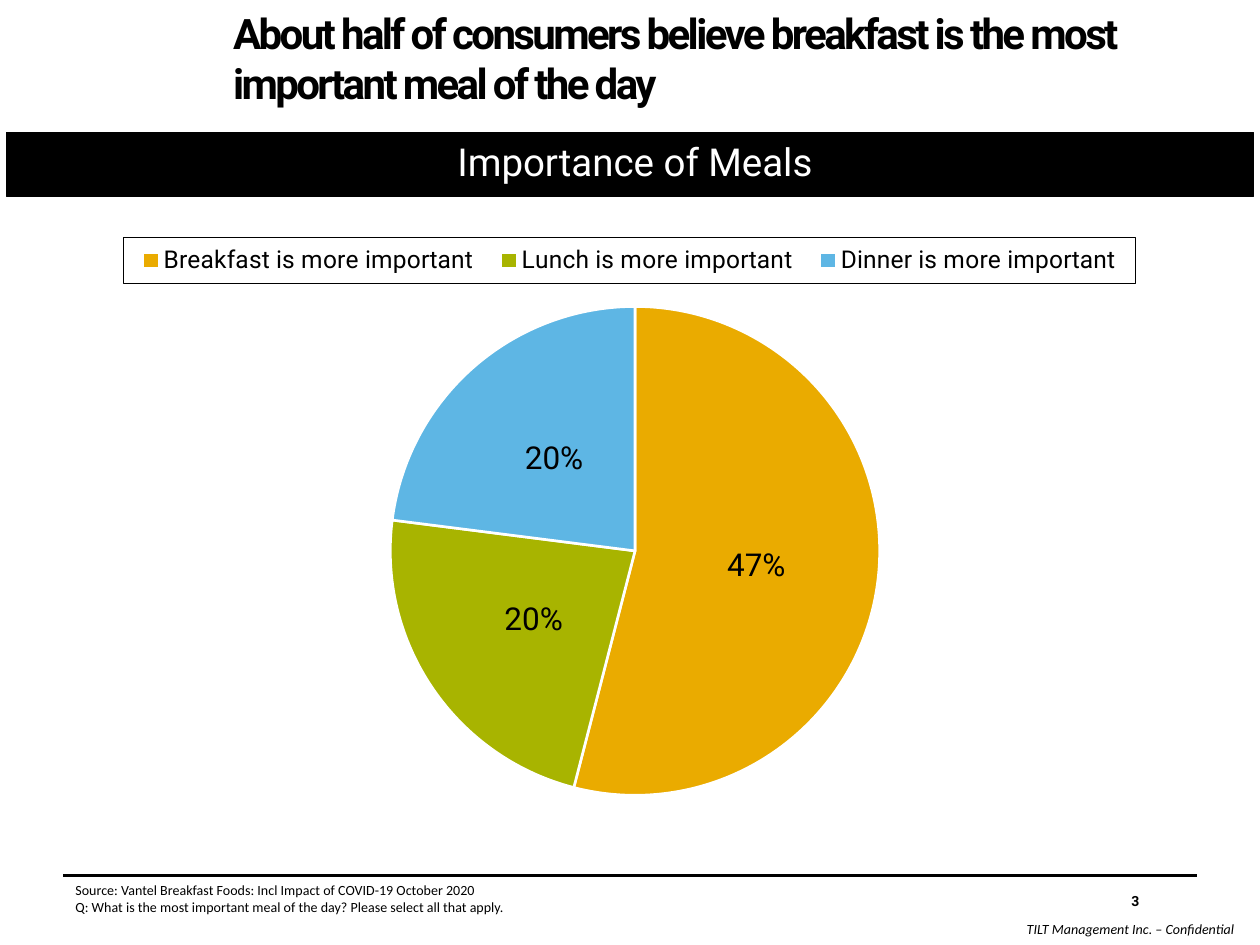
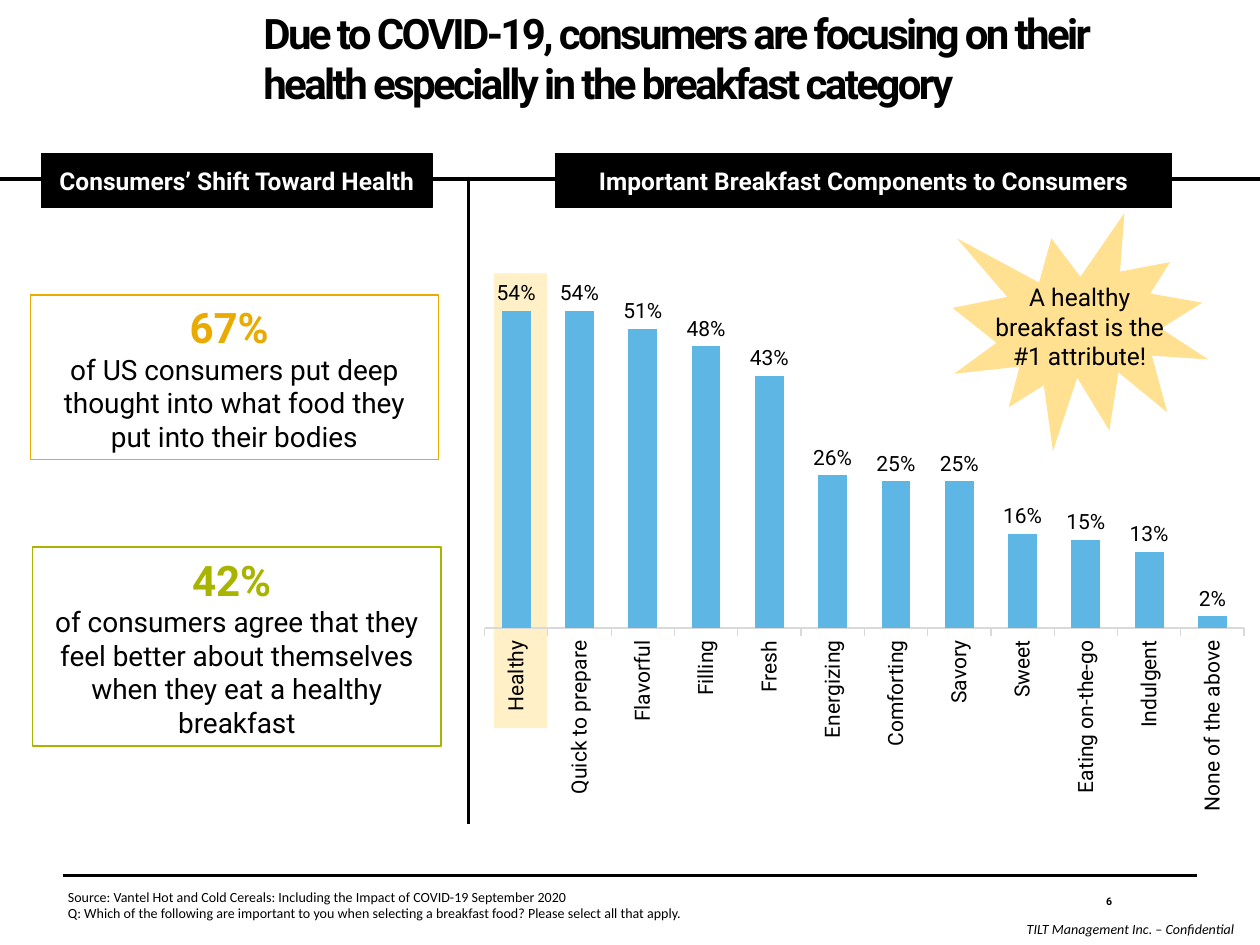
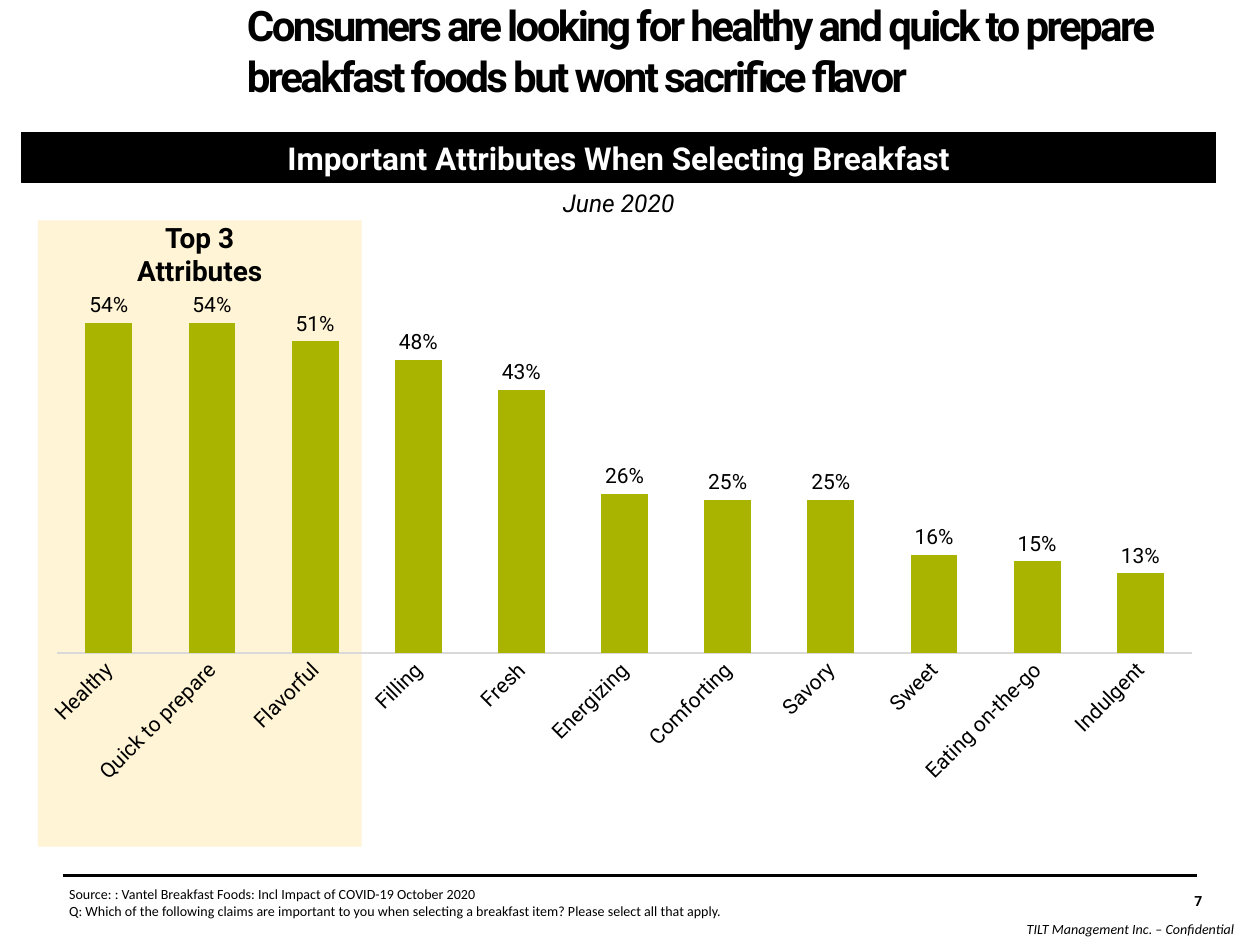
from dataclasses import dataclass
from lxml.etree import SubElement
from pptx import Presentation
from pptx.chart.data import CategoryChartData
from pptx.dml.color import RGBColor
from pptx.enum.chart import (XL_CHART_TYPE, XL_LABEL_POSITION,
                             XL_LEGEND_POSITION, XL_TICK_MARK)
from pptx.enum.shapes import MSO_CONNECTOR, MSO_SHAPE
from pptx.enum.text import MSO_ANCHOR, MSO_AUTO_SIZE, PP_ALIGN
from pptx.oxml import parse_xml
from pptx.oxml.ns import nsdecls, qn
from pptx.util import Inches, Pt


@dataclass(frozen=True)
class Theme:
    black: str = "000000"
    white: str = "FFFFFF"
    gold: str = "EAAB00"
    green: str = "A8B400"
    blue: str = "5EB6E4"
    gray: str = "D9D9D9"
    cream: str = "FFF0C8"
    pale: str = "FFF4D5"
    burst: str = "FFE191"
    head: str = "Roboto"
    note: str = "Calibri"
    title: int = 24
    band: int = 22
    sub: int = 18
    body: int = 16
    label: int = 14
    tick: int = 12
    small: int = 8
    tiny: int = 6


T = Theme()
FOODS = {"Healthy": 0.54, "Quick to prepare": 0.54, "Flavorful": 0.51,
         "Filling": 0.48, "Fresh": 0.43, "Energizing": 0.26,
         "Comforting": 0.25, "Savory": 0.25, "Sweet": 0.16,
         "Eating on-the-go": 0.15, "Indulgent": 0.13}
MEALS = {"Breakfast is more important": 0.47,
         "Lunch is more important": 0.2, "Dinner is more important": 0.2}


def rgb(code):
    return RGBColor.from_string(code)


def inch(box):
    return [Inches(n) for n in box]


def style(font, size, color=T.black, face=T.head, bold=False, slant=False):
    font.size, font.name = Pt(size), face
    font.bold, font.italic = bold, slant
    font.color.rgb = rgb(color)


# Text, shapes and lines

def write(shape, rows, align=PP_ALIGN.LEFT, anchor=MSO_ANCHOR.TOP,
          wrap=True, inset=True, track=None):
    """Fill a shape with rows of (text, size, style options)."""
    frame = shape.text_frame
    frame.word_wrap, frame.vertical_anchor = wrap, anchor
    if not wrap:
        frame.auto_size = MSO_AUTO_SIZE.SHAPE_TO_FIT_TEXT
    if not inset:
        frame.margin_left = frame.margin_right = 0
        frame.margin_top = frame.margin_bottom = 0
    for i, (text, size, look) in enumerate(rows):
        para = frame.add_paragraph() if i else frame.paragraphs[0]
        para.alignment = align
        run = para.add_run()
        run.text = text
        style(run.font, size, **look)
        if track is not None:
            run.font._element.set("spc", str(track))


def label(slide, box, rows, **opts):
    write(slide.shapes.add_textbox(*inch(box)), rows, **opts)


def block(slide, box, fill=None, line=None, kind=MSO_SHAPE.RECTANGLE):
    shape = slide.shapes.add_shape(kind, *inch(box))
    shape.shadow.inherit = False
    if fill:
        shape.fill.solid()
        shape.fill.fore_color.rgb = rgb(fill)
    else:
        shape.fill.background()
    if line:
        shape.line.color.rgb = rgb(line)
        shape.line.width = Pt(0.75)
    else:
        shape.line.fill.background()
    return shape


def rule(slide, *ends):
    line = slide.shapes.add_connector(MSO_CONNECTOR.STRAIGHT, *inch(ends))
    line.line.color.rgb = rgb(T.black)
    line.line.width = Pt(2)
    SubElement(line._element.spPr, qn("a:effectLst"))


def band(slide, box, text, size):
    write(block(slide, box, T.black, T.black),
          [(text, size, dict(color=T.white, bold=True))],
          align=PP_ALIGN.CENTER, anchor=MSO_ANCHOR.MIDDLE)


# Parts shared by all slides

def frame(deck, title, box, page, spot, notes, place, size=T.small):
    slide = deck.slides.add_slide(deck.slide_layouts[6])
    rule(slide, 0.5, 6.95, 9.5, 6.95)
    label(slide, box, [(title, T.title, dict(bold=True))],
          inset=False, track=-150)
    label(slide, (spot, 6.95, 0.62, 0.4), [(page, size, dict(bold=True))],
          anchor=MSO_ANCHOR.MIDDLE)
    label(slide, (8.05, 7.26, 1.95, 0.24),
          [("TILT Management Inc. – Confidential", T.small,
            dict(face=T.note, slant=True))], wrap=False)
    label(slide, (*place, 7.69, 0.37),
          [(text, T.small, dict(face=T.note)) for text in notes])
    return slide


# Charts

def place(owner, box, inner=True):
    """Set a manual layout, in shares of the chart, on a plot or legend."""
    for old in owner.findall(qn("c:layout")):
        owner.remove(old)
    target = '<c:layoutTarget val="inner"/>' if inner else ""
    modes = '<c:xMode val="edge"/><c:yMode val="edge"/>'
    sizes = "".join(f'<c:{k} val="{v}"/>' for k, v in zip("xywh", box))
    node = parse_xml(f'<c:layout {nsdecls("c")}><c:manualLayout>{target}'
                     f'{modes}{sizes}</c:manualLayout></c:layout>')
    owner.insert(0 if inner else 1, node)


def graph(slide, box, kind, data, area, size, spot):
    feed = CategoryChartData(number_format="0%")
    feed.categories = list(data)
    feed.add_series("Series 1", list(data.values()))
    chart = slide.shapes.add_chart(kind, *inch(box), feed).chart
    chart.has_title = False
    chart.has_legend = False
    style(chart.font, size)
    root = chart.element.find(qn("c:chart"))
    root.addnext(parse_xml(f'<c:spPr {nsdecls("c", "a")}><a:noFill/>'
                           '<a:ln><a:noFill/></a:ln></c:spPr>'))
    place(root.find(qn("c:plotArea")), area)
    plot = chart.plots[0]
    plot.has_data_labels = True
    marks = plot.data_labels
    marks.show_value, marks.position = True, spot
    marks.number_format, marks.number_format_is_linked = "0%", False
    style(marks.font, size)
    return chart


def pie(slide, box, data):
    chart = graph(slide, box, XL_CHART_TYPE.PIE, data,
                  (0.26, 0.12, 0.48, 0.85), T.sub,
                  XL_LABEL_POSITION.CENTER)
    for i, color in enumerate((T.gold, T.green, T.blue)):
        part = chart.plots[0].series[0].points[i].format
        part.fill.solid()
        part.fill.fore_color.rgb = rgb(color)
        part.line.color.rgb = rgb(T.white)
        part.line.width = Pt(1.5)
    # Boxed legend above the pie
    chart.has_legend = True
    key = chart.legend
    key.position, key.include_in_layout = XL_LEGEND_POSITION.TOP, False
    style(key.font, T.label)
    node = key._element
    place(node, (0.01, 0, 0.97, 0.08), inner=False)
    node.find(qn("c:overlay")).addnext(parse_xml(
        f'<c:spPr {nsdecls("c", "a")}><a:noFill/><a:ln w="9525"><a:solidFill>'
        f'<a:srgbClr val="{T.black}"/></a:solidFill></a:ln></c:spPr>'))


def bars(slide, box, data, color, area, turn, tick):
    chart = graph(slide, box, XL_CHART_TYPE.COLUMN_CLUSTERED, data, area,
                  T.tick, XL_LABEL_POSITION.OUTSIDE_END)
    plot = chart.plots[0]
    plot.gap_width, plot.overlap = 120, -27
    plot.vary_by_categories = False
    fill = plot.series[0].format.fill
    fill.solid()
    fill.fore_color.rgb = rgb(color)
    scale = chart.value_axis
    scale.minimum_scale, scale.maximum_scale = 0, 0.6
    scale.has_major_gridlines = scale.visible = False
    axis = chart.category_axis
    axis.major_tick_mark, axis.minor_tick_mark = tick, XL_TICK_MARK.NONE
    axis.format.line.color.rgb = rgb(T.gray)
    axis.format.line.width = Pt(0.75)
    style(axis.tick_labels.font, T.tick)
    body = axis._element.find(qn("c:txPr")).find(qn("a:bodyPr"))
    body.set("rot", str(turn * 60000))
    body.set("vert", "horz")


# Slides

def meals(deck):
    slide = frame(
        deck, "About half of consumers believe breakfast is the most "
        "important meal of the day", (1.85, 0.06, 7.7, 0.8), "3", 8.88,
        ["Source: Vantel Breakfast Foods: Incl Impact of COVID-19 "
         "October 2020",
         "Q: What is the most important meal of the day? "
         "Please select all that apply."], (0.5, 6.95))
    pie(slide, (0.9, 1.88, 8.28, 4.57), MEALS)
    block(slide, (0.05, 1.05, 9.9, 0.51), T.black, T.black)
    label(slide, (1.87, 1.05, 6.34, 0.47),
          [("Importance of Meals", T.band, dict(color=T.white))],
          align=PP_ALIGN.CENTER)


def fact(slide, box, share, text, color):
    write(block(slide, box, line=color),
          [(share, T.title, dict(color=color, bold=True)),
           (text, T.body, {})],
          align=PP_ALIGN.CENTER, anchor=MSO_ANCHOR.MIDDLE)


def health(deck):
    slide = frame(
        deck, "Due to COVID-19, consumers are focusing on their health "
        "especially in the breakfast category", (2.09, 0.06, 7.31, 0.8),
        "6", 8.68,
        ["Source: Vantel Hot and Cold Cereals: Including the Impact of "
         "COVID-19 September 2020",
         "Q: Which of the following are important to you when selecting "
         "a breakfast food? Please select all that apply."],
        (0.44, 7), T.tiny)
    # Two columns under header bands
    rule(slide, 3.72, 1.42, 3.72, 6.54)
    rule(slide, 0, 1.42, 10, 1.42)
    band(slide, (0.33, 1.22, 3.1, 0.43), "Consumers’ Shift Toward Health",
         T.label)
    band(slide, (4.41, 1.22, 4.89, 0.43),
         "Important Breakfast Components to Consumers", T.label)
    # Left: key facts
    fact(slide, (0.24, 2.34, 3.24, 1.31), "67% ",
         "of US consumers put deep thought into what food they put into "
         "their bodies", T.gold)
    fact(slide, (0.26, 4.34, 3.24, 1.58), "42% ",
         "of consumers agree that they feel better about themselves when "
         "they eat a healthy breakfast", T.green)
    # Right: chart with its first bar marked
    block(slide, (3.92, 2.17, 0.42, 3.61), T.cream)
    bars(slide, (3.72, 2.1, 6.28, 4.44), {**FOODS, "None of the above": 0.02},
         T.blue, (0.02, 0.02, 0.96, 0.63), -90, XL_TICK_MARK.OUTSIDE)
    block(slide, (7.56, 1.69, 2.03, 1.89), T.burst, kind=MSO_SHAPE.EXPLOSION1)
    label(slide, (7.74, 2.19, 1.66, 1.04),
          [("A healthy breakfast is the #1 attribute!", T.label, {})],
          align=PP_ALIGN.CENTER)


def traits(deck):
    slide = frame(
        deck, "Consumers are looking for healthy and quick to prepare "
        "breakfast foods but wont sacrifice flavor", (1.96, 0, 7.72, 0.8),
        "7", 9.38,
        ["Source: : Vantel Breakfast Foods: Incl Impact of COVID-19 "
         "October 2020",
         "Q: Which of the following claims are important to you when "
         "selecting a breakfast item? Please select all that apply."],
        (0.45, 6.98))
    band(slide, (0.17, 1.05, 9.48, 0.4),
         "Important Attributes When Selecting Breakfast", T.sub)
    label(slide, (3.59, 1.44, 2.64, 0.34),
          [("June 2020", T.label, dict(slant=True))], align=PP_ALIGN.CENTER)
    # Top three behind the chart
    block(slide, (0.3, 1.75, 2.57, 4.97), T.pale)
    label(slide, (0.87, 1.7, 1.43, 0.64),
          [(text, T.body, dict(bold=True)) for text in ("Top 3", "Attributes")],
          align=PP_ALIGN.CENTER)
    bars(slide, (0.17, 2.19, 9.48, 4.1), FOODS, T.green,
         (0.03, 0.02, 0.95, 0.71), -45, XL_TICK_MARK.NONE)


def main():
    deck = Presentation()
    deck.slide_width, deck.slide_height = Inches(10), Inches(7.5)
    for build in (meals, health, traits):
        build(deck)
    deck.save("out.pptx")


if __name__ == "__main__":
    main()
